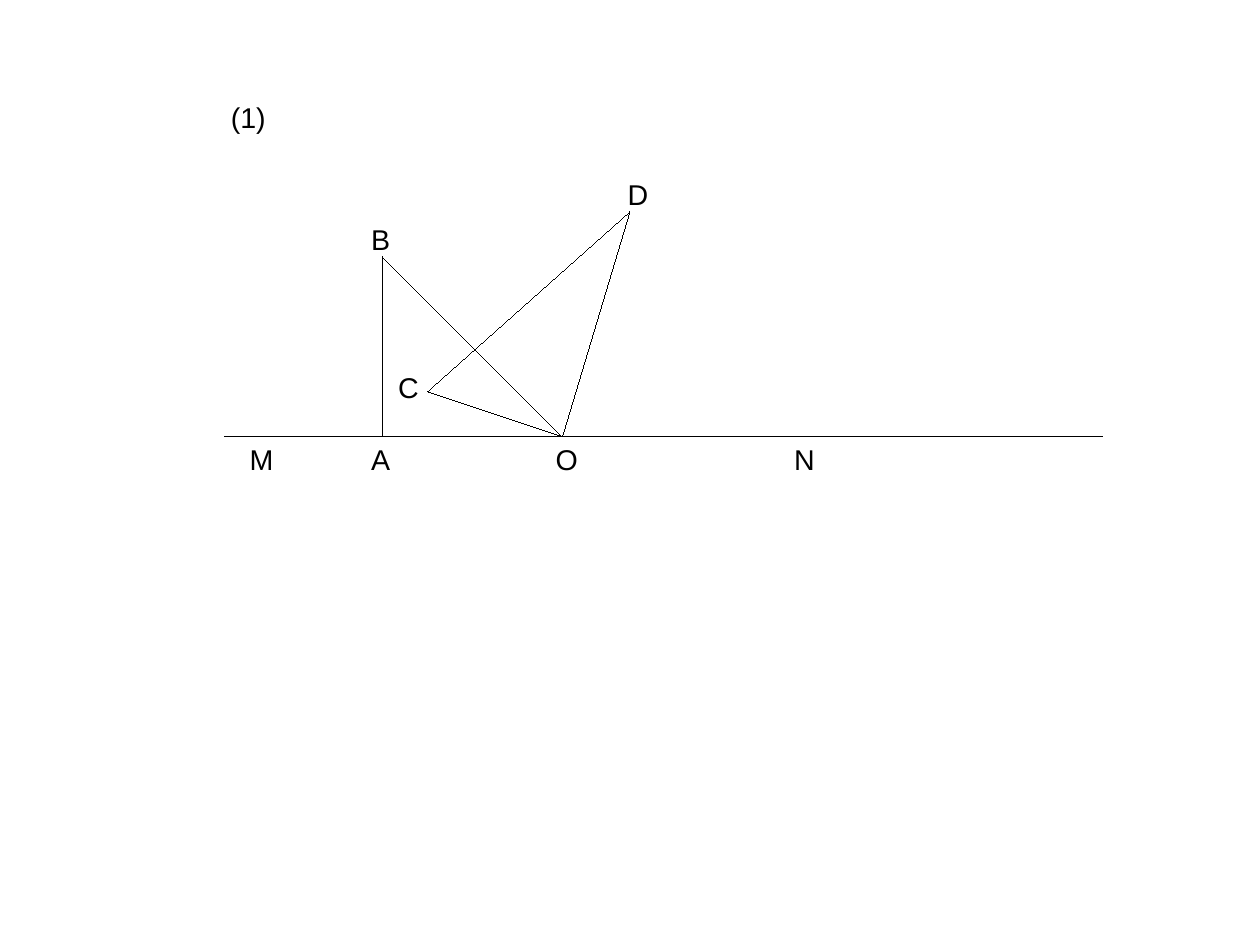
from typing import NamedTuple

import pptx
import pptx.dml.color
import pptx.enum.shapes
import pptx.enum.text
import pptx.oxml.ns
import pptx.presentation
import pptx.slide
import pptx.util
from lxml import etree

COLUMNS, ROWS = 28, 21
CELL = pptx.util.Cm(1)
COLORS = {"ink": "000000", "paper": "FFFFFF"}
FONT = "Arial"
HAIRLINE = pptx.util.Pt(0.01)
LABEL_HEIGHT = 0.97
BASELINE = 9.7


class Point(NamedTuple):
    column: float
    row: float


class Label(NamedTuple):
    text: str
    corner: Point
    columns: float


POINTS = {
    "left end": Point(5, BASELINE),
    "right end": Point(24.5, BASELINE),
    "A": Point(8.5, BASELINE),
    "B": Point(8.5, 5.7),
    "C": Point(9.5, 8.7),
    "D": Point(14, 4.7),
    "O": Point(12.5, BASELINE),
}
SEGMENTS = [("left end", "right end"), ("B", "A"), ("B", "O"),
            ("O", "C"), ("O", "D"), ("C", "D")]
LABELS = [
    Label("M", Point(5.3, BASELINE), 1.04),
    Label("A", Point(8, BASELINE), 0.91),
    Label("O", Point(12.1, BASELINE), 0.99),
    Label("N", Point(17.4, BASELINE), 0.97),
    Label("D", Point(13.7, 3.8), 0.97),
    Label("B", Point(8, 4.8), 0.91),
    Label("C", Point(8.6, 8.1), 0.97),
    Label("(1)", Point(4.88, 2.1), 1.32),
]


def cells(count: float) -> int:
    return round(count * CELL)


def color(name: str) -> pptx.dml.color.RGBColor:
    return pptx.dml.color.RGBColor.from_string(COLORS[name])


def draw_segment(page: pptx.slide.Slide, start: Point, end: Point) -> None:
    segment = page.shapes.add_connector(
        pptx.enum.shapes.MSO_CONNECTOR.STRAIGHT,
        cells(start.column), cells(start.row), cells(end.column), cells(end.row))
    segment.line.color.rgb = color("ink")
    segment.line.width = HAIRLINE
    properties = segment.element.spPr
    etree.SubElement(properties, pptx.oxml.ns.qn("a:effectLst"))


def draw_label(page: pptx.slide.Slide, label: Label) -> None:
    box = page.shapes.add_textbox(
        cells(label.corner.column), cells(label.corner.row),
        cells(label.columns), cells(LABEL_HEIGHT))
    frame = box.text_frame
    frame.word_wrap = False
    frame.auto_size = pptx.enum.text.MSO_AUTO_SIZE.SHAPE_TO_FIT_TEXT
    frame.text = label.text
    span = frame.paragraphs[0].runs[0]
    span.font.name = FONT
    span.font.size = pptx.util.Pt(18)
    span.font.color.rgb = color("ink")


def build_deck() -> pptx.presentation.Presentation:
    deck = pptx.Presentation()
    deck.slide_width = cells(COLUMNS)
    deck.slide_height = cells(ROWS)
    page = deck.slides.add_slide(deck.slide_layouts[6])
    page.background.fill.solid()
    page.background.fill.fore_color.rgb = color("paper")
    for start, end in SEGMENTS:
        draw_segment(page, POINTS[start], POINTS[end])
    for label in LABELS:
        draw_label(page, label)
    return deck


if __name__ == "__main__":
    build_deck().save("out.pptx")
